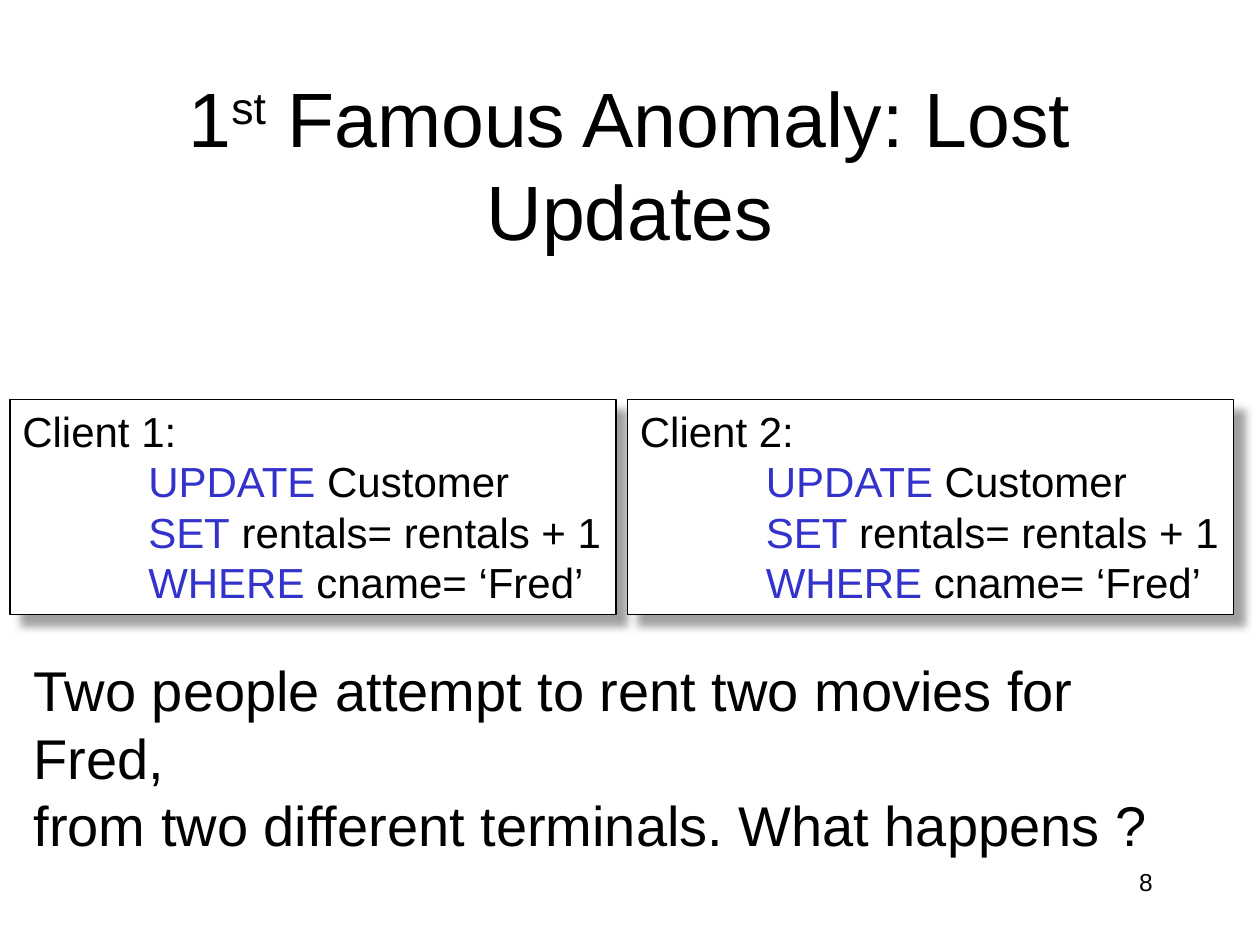
from lxml import etree
from pptx import Presentation
from pptx.dml.color import RGBColor
from pptx.enum.shapes import MSO_SHAPE
from pptx.enum.text import MSO_ANCHOR, MSO_AUTO_SIZE, PP_ALIGN
from pptx.oxml import parse_xml
from pptx.oxml.ns import nsdecls, qn
from pptx.util import Cm, Pt

BLACK = RGBColor(0x00, 0x00, 0x00)
WHITE = RGBColor(0xFF, 0xFF, 0xFF)
KEYWORD_BLUE = RGBColor(0x33, 0x33, 0xCC)
FONT = "Arial"
LEFT, CENTER, RIGHT = PP_ALIGN.LEFT, PP_ALIGN.CENTER, PP_ALIGN.RIGHT
TOP, MIDDLE = MSO_ANCHOR.TOP, MSO_ANCHOR.MIDDLE
FIT_SHAPE = MSO_AUTO_SIZE.SHAPE_TO_FIT_TEXT
RECTANGLE = MSO_SHAPE.RECTANGLE

STATEMENT = [
    ("UPDATE", " Customer"),
    ("SET", " rentals= rentals + 1"),
    ("WHERE ", "cname= ‘Fred’"),
]
SHADOW = (
    f'<a:effectLst {nsdecls("a")}>'
    '<a:outerShdw blurRad="63500" dist="107950" dir="2700000" algn="ctr" rotWithShape="0">'
    '<a:srgbClr val="808080"><a:alpha val="75000"/></a:srgbClr>'
    '</a:outerShdw></a:effectLst>'
)


def add_run(paragraph, text, size, color=BLACK):
    run = paragraph.add_run()
    run.text = text
    run.font.name = FONT
    run.font.size = Pt(size)
    run.font.color.rgb = color
    return run


def add_text_box(slide, left, top, width, height, alignment=LEFT, anchor=TOP):
    """Add a wrapping text box and return its text frame."""
    box = slide.shapes.add_textbox(Cm(left), Cm(top), Cm(width), Cm(height))
    text_frame = box.text_frame
    text_frame.word_wrap = True
    text_frame.vertical_anchor = anchor
    text_frame.paragraphs[0].alignment = alignment
    return text_frame


def add_title(slide):
    text_frame = add_text_box(slide, 1.27, 1.7, 22.86, 3.18, CENTER, MIDDLE)
    paragraph = text_frame.paragraphs[0]
    add_run(paragraph, "1", 44)
    ordinal = add_run(paragraph, "st", 44)
    ordinal.font._element.set("baseline", "30000")
    add_run(paragraph, " Famous Anomaly: Lost Updates", 44)


def add_tab_stop(paragraph, position):
    tab_list = etree.SubElement(paragraph._p.get_or_add_pPr(), qn("a:tabLst"))
    etree.SubElement(tab_list, qn("a:tab"), pos=str(position), algn="l")


def add_client(slide, left, heading):
    """Add a shadowed box with a client's name and its SQL statement."""
    shape = slide.shapes.add_shape(RECTANGLE, Cm(left), Cm(8.05), Cm(12.22), Cm(4.34))
    shape.fill.solid()
    shape.fill.fore_color.rgb = WHITE
    shape.line.color.rgb = BLACK
    shape.line.width = Pt(0.75)
    shape._element.spPr.append(parse_xml(SHADOW))

    text_frame = shape.text_frame
    text_frame.word_wrap = False
    text_frame.auto_size = FIT_SHAPE
    text_frame.vertical_anchor = TOP
    paragraph = text_frame.paragraphs[0]
    paragraph.alignment = LEFT
    add_run(paragraph, heading, 24)

    code = text_frame.add_paragraph()
    code.alignment = LEFT
    add_tab_stop(code, Cm(2.54))
    for index, (keyword, rest) in enumerate(STATEMENT):
        if index:
            code.add_line_break()
        add_run(code, "\t", 24)
        add_run(code, keyword, 24, KEYWORD_BLUE)
        add_run(code, rest, 24)


def add_question(slide):
    text_frame = add_text_box(slide, 0.43, 13.77, 24.43, 2.97, anchor=MIDDLE)
    text_frame.margin_right = Cm(0.8)
    paragraph = text_frame.paragraphs[0]
    add_run(paragraph, "Two people attempt to rent two movies for Fred,", 32)
    paragraph.add_line_break()
    add_run(paragraph, "from two different terminals. What happens ?", 32)


def add_slide_number(slide):
    text_frame = add_text_box(slide, 18.2, 17.35, 5.29, 1.27, RIGHT)
    add_run(text_frame.paragraphs[0], "8", 14)


def main():
    presentation = Presentation()
    presentation.slide_width = Cm(25.4)
    presentation.slide_height = Cm(19.05)
    slide = presentation.slides.add_slide(presentation.slide_layouts[6])
    add_slide_number(slide)
    add_title(slide)
    add_client(slide, 0.2, "Client 1:")
    add_question(slide)
    add_client(slide, 12.65, "Client 2:")
    presentation.save("out.pptx")


if __name__ == "__main__":
    main()
